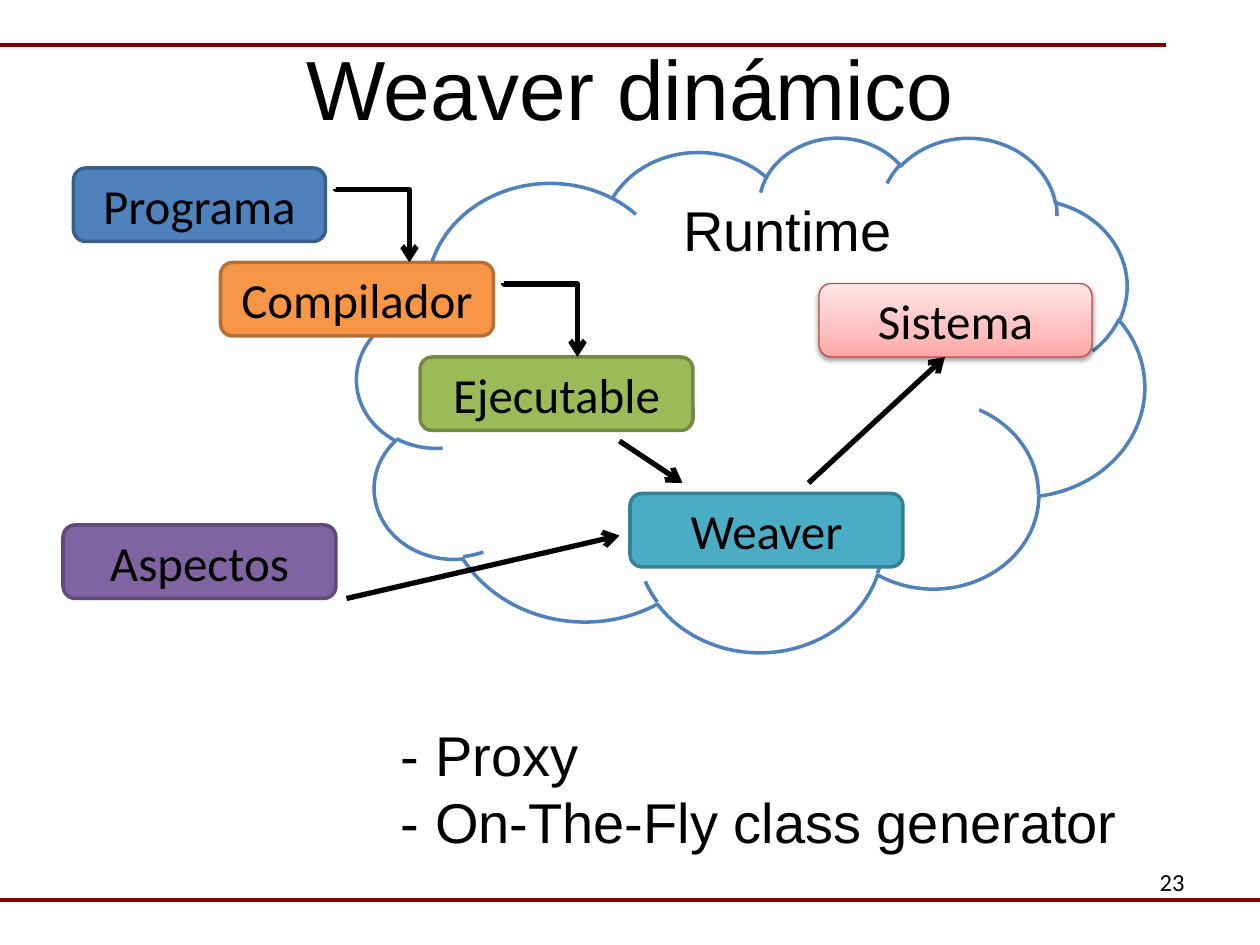
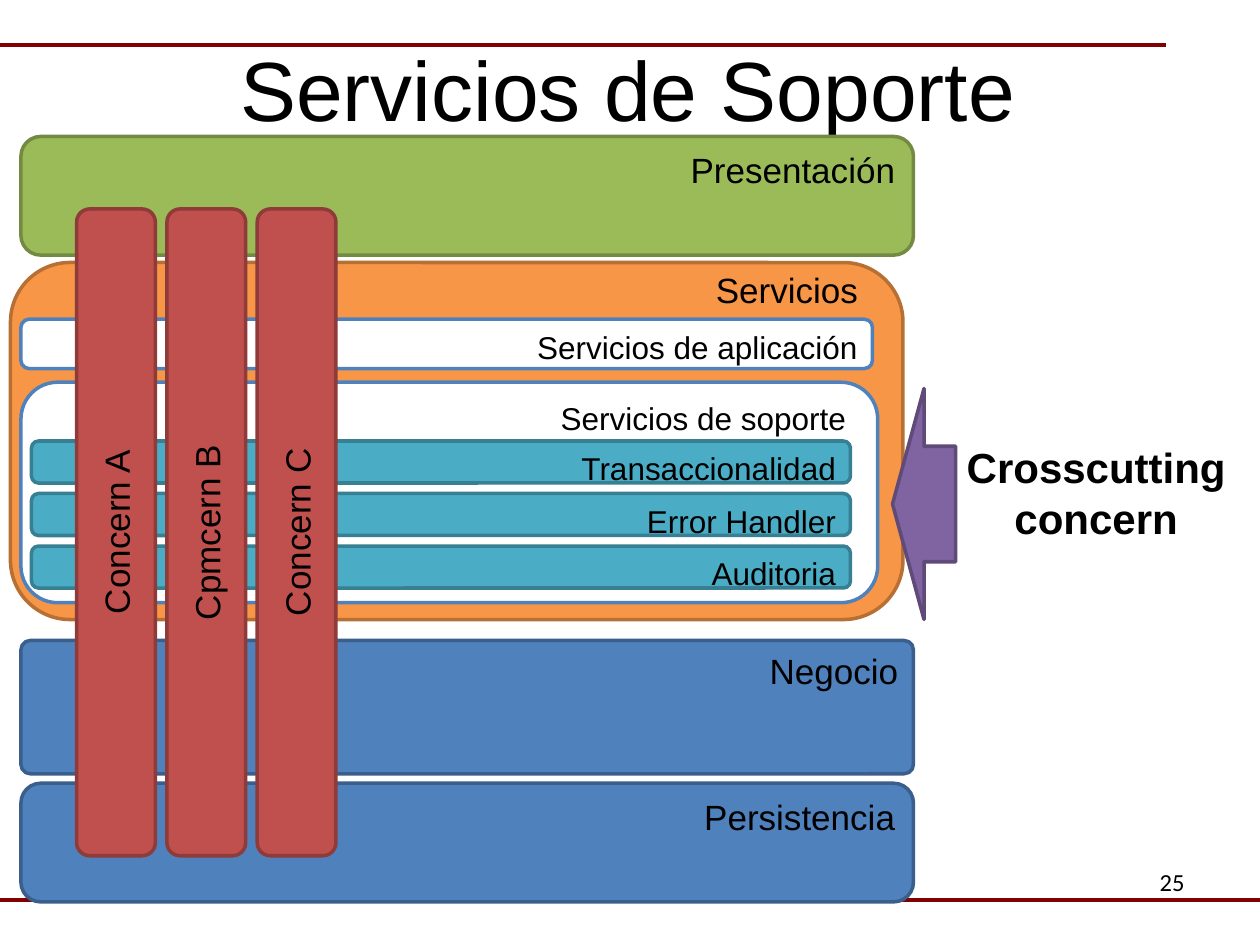
from copy import deepcopy

from lxml import etree
from pptx import Presentation
from pptx import util as u
from pptx.dml.color import RGBColor
from pptx.enum import shapes, text
from pptx.oxml.ns import qn

PX = u.Inches(1) // 120
SLIDE_WIDTH, SLIDE_HEIGHT = 1200, 900

BLACK = RGBColor(0x00, 0x00, 0x00)
WHITE = RGBColor(0xFF, 0xFF, 0xFF)
MAROON = RGBColor(0x80, 0x00, 0x00)
BLUE = RGBColor(0x4F, 0x81, 0xBD)
BLUE_EDGE = RGBColor(0x3A, 0x5F, 0x8C)
ORANGE = RGBColor(0xF7, 0x96, 0x46)
ORANGE_EDGE = RGBColor(0xB7, 0x6F, 0x34)
GREEN = RGBColor(0x9B, 0xBB, 0x59)
GREEN_EDGE = RGBColor(0x73, 0x8A, 0x42)
PURPLE = RGBColor(0x80, 0x64, 0xA2)
PURPLE_EDGE = RGBColor(0x5F, 0x4A, 0x78)
TEAL = RGBColor(0x4B, 0xAC, 0xC6)
TEAL_EDGE = RGBColor(0x37, 0x7F, 0x92)
RED = RGBColor(0xC0, 0x50, 0x4D)
RED_EDGE = RGBColor(0x8E, 0x3B, 0x39)
ROSE_EDGE = RGBColor(0xBF, 0x4C, 0x48)
ROSE_STOPS = [
    (0, RGBColor(0xFF, 0xA6, 0xA5)),
    (0.35, RGBColor(0xFF, 0xC0, 0xBF)),
    (1, RGBColor(0xFF, 0xE7, 0xE7)),
]

BLUE_STYLE = (BLUE, BLUE_EDGE)
ORANGE_STYLE = (ORANGE, ORANGE_EDGE)
GREEN_STYLE = (GREEN, GREEN_EDGE)
PURPLE_STYLE = (PURPLE, PURPLE_EDGE)
TEAL_STYLE = (TEAL, TEAL_EDGE)
RED_STYLE = (RED, RED_EDGE)
OUTLINE_STYLE = (WHITE, BLUE)

LEFT, CENTER, RIGHT = text.PP_ALIGN.LEFT, text.PP_ALIGN.CENTER, text.PP_ALIGN.RIGHT
ROUNDED = shapes.MSO_SHAPE.ROUNDED_RECTANGLE


def to_emu(*lengths):
    return [length * PX for length in lengths]


def write(shape, content, size, align, font="Arial", bold=False):
    shape.text_frame.text = content
    for paragraph in shape.text_frame.paragraphs:
        paragraph.alignment = align
        for run in paragraph.runs:
            run.font.name = font
            run.font.size = u.Pt(size)
            run.font.bold = bold
            run.font.color.rgb = BLACK


def add_text(slide, box, content, size, align=CENTER, wrap=True, **font):
    shape = slide.shapes.add_textbox(*to_emu(*box))
    shape.text_frame.word_wrap = wrap
    write(shape, content, size, align, **font)


def add_shape(parent, kind, box, style):
    shape = parent.shapes.add_shape(kind, *to_emu(*box))
    fill, edge = style
    shape.fill.solid()
    shape.fill.fore_color.rgb = fill
    shape.line.color.rgb = edge
    shape.line.width = u.Pt(2)
    shape.shadow.inherit = False
    return shape


def add_node(slide, left, top, label, style, width=260):
    node = add_shape(slide, ROUNDED, (left, top, width, 70), style)
    node.text_frame.vertical_anchor = text.MSO_ANCHOR.MIDDLE
    write(node, label, 28, CENTER, font="Calibri")
    return node


def add_layer(slide, box, label, style, size=20):
    layer = add_shape(slide, ROUNDED, box, style)
    layer.text_frame.vertical_anchor = text.MSO_ANCHOR.TOP
    write(layer, label, size, RIGHT)
    return layer


def add_concern(group, left, label):
    pillar = add_shape(group, ROUNDED, (left, 199, 75, 616), RED_STYLE)
    pillar.text_frame.vertical_anchor = text.MSO_ANCHOR.MIDDLE
    pillar.text_frame._txBody.bodyPr.set("vert", "vert270")
    write(pillar, label, 20, CENTER)


def add_line(slide, start, end, color, width, kind=shapes.MSO_CONNECTOR.STRAIGHT):
    line = slide.shapes.add_connector(kind, *to_emu(*start, *end))
    line.line.color.rgb = color
    line.line.width = u.Pt(width)
    etree.SubElement(line._element.spPr, qn("a:effectLst"))
    return line


def add_arrow(slide, start, end, kind=shapes.MSO_CONNECTOR.STRAIGHT):
    arrow = add_line(slide, start, end, BLACK, 3, kind)
    etree.SubElement(arrow.line._get_or_add_ln(), qn("a:tailEnd"), type="arrow")
    return arrow


def add_corner_arrow(slide, left, top):
    arrow = add_arrow(slide, (left, top), (left + 70, top + 70), shapes.MSO_CONNECTOR.ELBOW)
    properties = arrow._element.spPr
    transform = properties.find(qn("a:xfrm"))
    transform.set("rot", "16200000")
    transform.set("flipH", "1")
    geometry = properties.find(qn("a:prstGeom"))
    adjustments = geometry.find(qn("a:avLst"))
    if adjustments is None:
        adjustments = etree.SubElement(geometry, qn("a:avLst"))
    etree.SubElement(adjustments, qn("a:gd"), name="adj1", fmla="val 900")


def shade_rose(shape):
    shape.fill.gradient()
    shape.fill.gradient_angle = 90
    properties = shape._element.spPr
    stop_list = properties.find(".//" + qn("a:gsLst"))
    stop_list.insert(1, deepcopy(stop_list[0]))
    for stop, (position, color) in zip(shape.fill.gradient_stops, ROSE_STOPS):
        stop.position = position
        stop.color.rgb = color
    shape.line.width = u.Pt(0.75)
    shadow = etree.SubElement(
        properties.find(qn("a:effectLst")), qn("a:outerShdw"),
        blurRad="40000", dist="20000", dir="5400000", rotWithShape="0",
    )
    shade = etree.SubElement(shadow, qn("a:srgbClr"), val="000000")
    etree.SubElement(shade, qn("a:alpha"), val="38000")


def add_framed_slide(presentation, number):
    slide = presentation.slides.add_slide(presentation.slide_layouts[6])
    add_line(slide, (0, 43), (1110, 43), MAROON, 2)
    add_text(slide, (860, 820, 280, 62), number, 14, RIGHT, font="Calibri")
    add_line(slide, (0, 857), (SLIDE_WIDTH, 857), MAROON, 2)
    return slide


def add_title(slide, title, left=0, top=29):
    add_text(slide, (left, top, SLIDE_WIDTH, 109), title, 48)


def build_dynamic_weaver(presentation):
    slide = add_framed_slide(presentation, "23")
    add_shape(slide, shapes.MSO_SHAPE.CLOUD, (340, 130, 750, 490), OUTLINE_STYLE)
    add_title(slide, "Weaver dinámico")
    add_node(slide, 70, 160, "Programa", BLUE_STYLE, width=240)
    add_node(slide, 210, 250, "Compilador", ORANGE_STYLE)
    add_node(slide, 400, 340, "Ejecutable", GREEN_STYLE)
    add_corner_arrow(slide, 320, 180)
    add_corner_arrow(slide, 480, 270)
    add_node(slide, 60, 500, "Aspectos", PURPLE_STYLE)
    add_node(slide, 600, 470, "Weaver", TEAL_STYLE)
    add_arrow(slide, (590, 420), (650, 460))
    add_arrow(slide, (330, 570), (590, 510))
    add_text(slide, (390, 180, 720, 77), "Runtime", 32)
    shade_rose(add_node(slide, 780, 270, "Sistema", (WHITE, ROSE_EDGE)))
    add_arrow(slide, (770, 460), (900, 340))
    add_text(slide, (370, 680, 830, 142), "- Proxy\n- On-The-Fly class generator", 32, LEFT)


def build_support_services(presentation):
    slide = add_framed_slide(presentation, "25")
    add_shape(slide, ROUNDED, (10, 250, 850, 340), ORANGE_STYLE)
    add_layer(slide, (20, 304, 811, 47), "Servicios de aplicación", OUTLINE_STYLE, 18)
    add_title(slide, "Servicios de Soporte", left=-2, top=30)
    support = add_layer(slide, (20, 364, 816, 210), "Servicios de soporte", OUTLINE_STYLE, 18)
    support.text_frame.margin_right = 20 * PX
    add_layer(slide, (20, 130, 850, 113), "Presentación", GREEN_STYLE)
    business = add_layer(slide, (20, 610, 850, 127), "Negocio", BLUE_STYLE)
    business.adjustments[0] = 0.07
    add_layer(slide, (20, 746, 850, 113), "Persistencia", BLUE_STYLE)
    for row, service in enumerate(["Transaccionalidad", "Error Handler", "Auditoria"]):
        add_layer(slide, (30, 420 + 50 * row, 780, 40), service, TEAL_STYLE, 18)
    concerns = slide.shapes.add_group_shape()
    for column, concern in enumerate(["Concern A", "Cpmcern B", "Concern C"]):
        add_concern(concerns, 73 + 86 * column, concern)
    add_text(slide, (902, 415, 284, 109), "Crosscutting\nconcern", 24, wrap=False, bold=True)
    pointer = add_shape(slide, shapes.MSO_SHAPE.RIGHT_ARROW, (850, 370, 60, 220), PURPLE_STYLE)
    pointer.rotation = 180
    add_text(slide, (670, 250, 161, 53), "Servicios", 20, LEFT, wrap=False)


def main():
    presentation = Presentation()
    presentation.slide_width, presentation.slide_height = to_emu(SLIDE_WIDTH, SLIDE_HEIGHT)
    build_dynamic_weaver(presentation)
    build_support_services(presentation)
    presentation.save("out.pptx")


if __name__ == "__main__":
    main()
